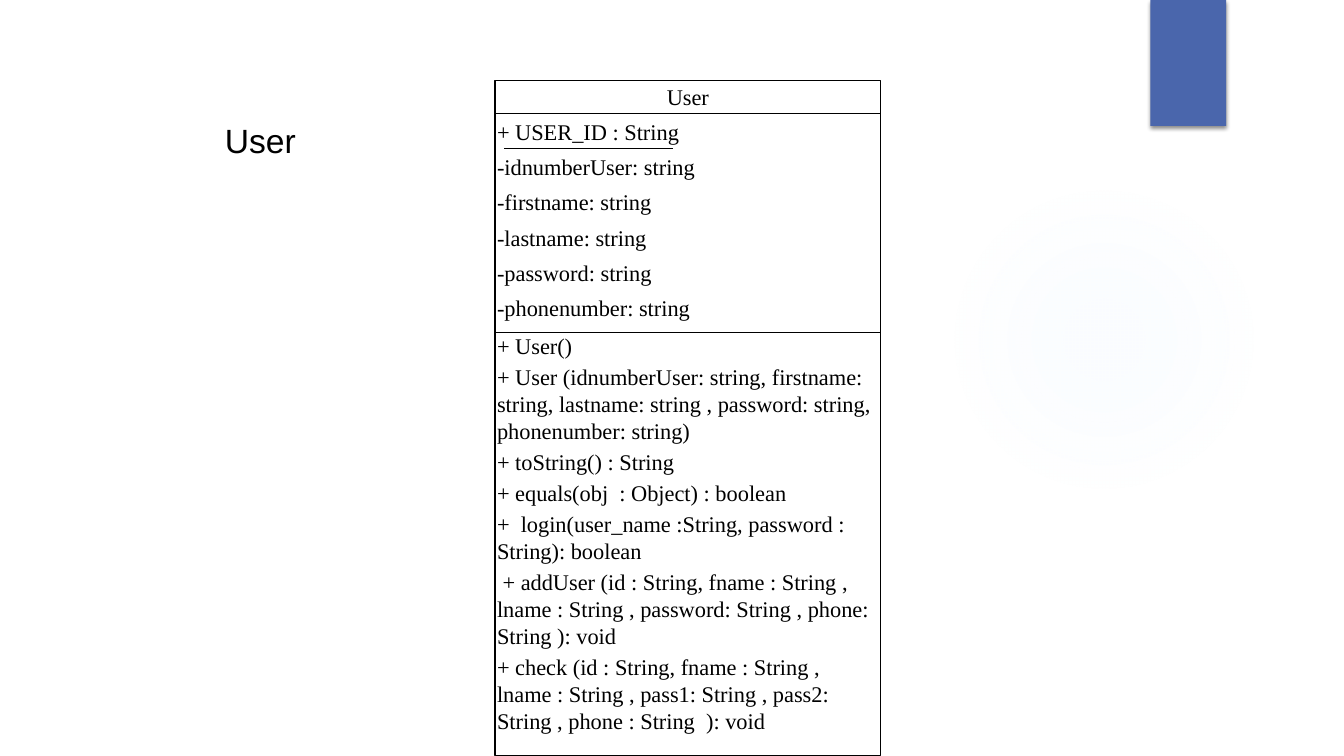
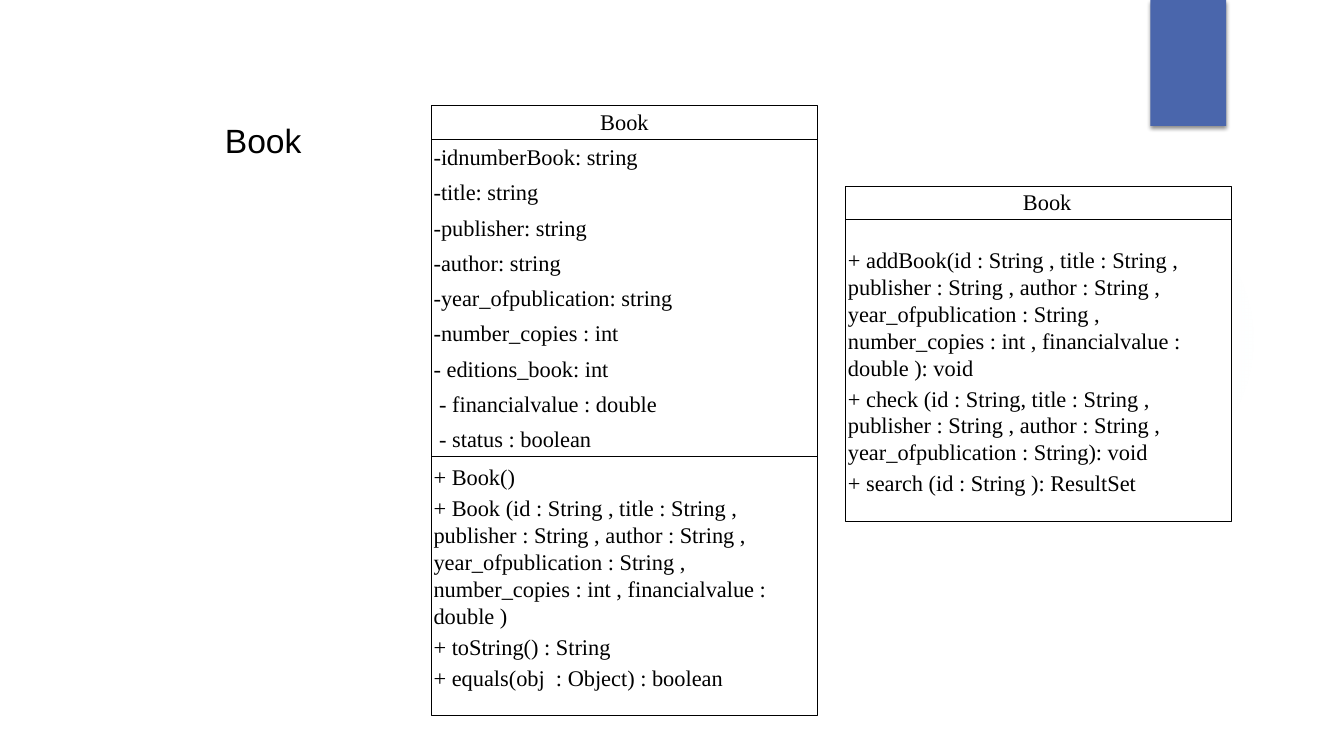
"""Build two slides of UML class boxes for a library system."""
import dataclasses
import typing

import pptx
import pptx.dml.color
import pptx.enum.shapes
import pptx.enum.text
import pptx.oxml
import pptx.oxml.ns
import pptx.util

SHAPE = pptx.enum.shapes.MSO_SHAPE
ALIGN = pptx.enum.text.PP_ALIGN
qn = pptx.oxml.ns.qn
Pt = pptx.util.Pt
WIDTH, HEIGHT = pptx.util.Inches(13.33), pptx.util.Inches(7.5)


@dataclasses.dataclass(frozen=True)
class Theme:
    """Colours, fonts and type sizes of the deck."""
    ink: str = "000000"
    paper: str = "FFFFFF"
    band: str = "4A66AC"
    glow: str = "CDE0FB"
    title_font: str = "Arial"
    body_font: str = "Times New Roman"
    title_size: float = 24
    body_size: float = 16
    rule: float = 0.75


class Area(typing.NamedTuple):
    """A rectangle in percent of the slide's width and height."""
    left: float
    top: float
    width: float
    height: float

    def emu(self) -> tuple[int, int, int, int]:
        """Return the rectangle in slide units."""
        return x(self.left), y(self.top), x(self.width), y(self.height)


@dataclasses.dataclass(frozen=True)
class ClassBox:
    """A UML class with its attributes and operations."""
    name: str
    left: float
    top: float
    height: float
    attributes: tuple[str, ...]
    operations: tuple[str, ...]
    operations_at: float = 0
    operations_gap: float = 8
    name_indent: float = 0
    static_first: bool = False


@dataclasses.dataclass(frozen=True)
class Page:
    """A titled slide with its class boxes."""
    title: str
    boxes: tuple[ClassBox, ...]


THEME = Theme()
TITLE = Area(15.98, 15.2, 48.54, 12.13)
BAND = Area(85.6, 0, 5.63, 16.67)
GLOW = Area(70.59, 24.4, 23.11, 41.07)
BOX_WIDTH = 28.7
NAME_HEIGHT = 4.4
ATTRIBUTE_GAP, OPERATION_GAP = 6, 3

PAGES = (
    Page("User", (
        ClassBox(
            "User", 36.83, 10.67, 89.33,
            ("+ USER_ID : String", "-idnumberUser: string", "-firstname: string",
             "-lastname: string", "-password: string", "-phonenumber: string"),
            ("+ User()",
             "+ User (idnumberUser: string, firstname: string, lastname: string , "
             "password: string, phonenumber: string)",
             "+ toString() : String",
             "+ equals(obj  : Object) : boolean",
             "+  login(user_name :String, password : String): boolean",
             " + addUser (id : String, fname : String , lname : String , "
             "password: String , phone: String ): void",
             "+ check (id : String, fname : String , lname : String , "
             "pass1: String , pass2: String , phone : String  ): void"),
            operations_at=33.33, static_first=True),
    )),
    Page("Book", (
        ClassBox(
            "Book", 32.11, 14, 80.67,
            ("-idnumberBook: string", "-title: string", "-publisher: string",
             "-author: string", "-year_ofpublication: string",
             "-number_copies : int", "- editions_book: int",
             " - financialvalue : double", " - status : boolean"),
            ("+ Book()",
             "+ Book (id : String , title : String , publisher : String , "
             "author : String , year_ofpublication : String , "
             "number_copies : int , financialvalue : double )",
             "+ toString() : String",
             "+ equals(obj  : Object) : boolean"),
            operations_at=46.4),
        ClassBox(
            "Book", 62.94, 24.67, 44.27, (),
            ("+ addBook(id : String , title : String , publisher : String , "
             "author : String , year_ofpublication : String , "
             "number_copies : int , financialvalue : double ): void",
             "+ check (id : String, title : String , publisher : String , "
             "author : String , year_ofpublication : String): void",
             "+ search (id : String ): ResultSet"),
            operations_gap=22, name_indent=12),
    )),
)


def x(percent: float) -> int:
    """Return a share of the slide's width."""
    return round(WIDTH * percent / 100)


def y(percent: float) -> int:
    """Return a share of the slide's height."""
    return round(HEIGHT * percent / 100)


def rgb(value: str) -> pptx.dml.color.RGBColor:
    """Return a colour from its hex value."""
    return pptx.dml.color.RGBColor.from_string(value)


def xml(text: str) -> typing.Any:
    """Return a drawing element, its namespace declared in the root tag."""
    head, rest = text.split(">", 1)
    return pptx.oxml.parse_xml(f"{head} {pptx.oxml.ns.nsdecls('a')}>{rest}")


def set_font(p: typing.Any, name: str, size: float) -> None:
    """Give a paragraph its font."""
    p.font.name, p.font.size = name, Pt(size)
    p.font.color.rgb = rgb(THEME.ink)


def add_plain(s: typing.Any, kind: typing.Any, area: Area, fill: str) -> typing.Any:
    """Add a filled shape without outline or shadow."""
    sp = s.shapes.add_shape(kind, *area.emu())
    sp.shadow.inherit = False
    sp.fill.solid()
    sp.fill.fore_color.rgb = rgb(fill)
    sp.line.fill.background()
    return sp


def add_line(s: typing.Any, left: float, top: float, width: float) -> None:
    """Add a thin horizontal line."""
    line = s.shapes.add_connector(pptx.enum.shapes.MSO_CONNECTOR.STRAIGHT,
                                  x(left), y(top), x(left + width), y(top))
    line.line.color.rgb = rgb(THEME.ink)
    line.line.width = Pt(THEME.rule)
    line.element.spPr.append(xml("<a:effectLst></a:effectLst>"))


def add_decor(s: typing.Any, layout: typing.Any) -> None:
    """Draw the band and the glow, then hand them to the layout."""
    glow = add_plain(s, SHAPE.OVAL, GLOW, THEME.glow)
    stops = "".join(
        f'<a:gs pos="{pos * 1000}"><a:srgbClr val="{THEME.glow}">'
        f'<a:alpha val="{alpha * 1000}"/></a:srgbClr></a:gs>'
        for pos, alpha in ((0, 7), (36, 6), (69, 0)))
    sp_pr = glow.element.spPr
    sp_pr.replace(sp_pr.find(qn("a:solidFill")), xml(
        f'<a:gradFill><a:gsLst>{stops}</a:gsLst><a:path path="circle">'
        '<a:fillToRect l="50000" t="50000" r="50000" b="50000"/>'
        '</a:path></a:gradFill>'))
    band = add_plain(s, SHAPE.RECTANGLE, BAND, THEME.band)
    band.element.spPr.find(qn("a:effectLst")).append(xml(
        f'<a:outerShdw blurRad="{Pt(3)}" dist="{Pt(2)}" dir="5400000">'
        f'<a:srgbClr val="{THEME.ink}"><a:alpha val="45000"/></a:srgbClr>'
        '</a:outerShdw>'))
    for i, sp in enumerate((glow, band)):
        sp.element.nvSpPr.cNvPr.set("id", str(100 + i))
        layout.shapes.element.insert(2 + i, sp.element)


def add_title(s: typing.Any, text: str) -> None:
    """Place and format the slide's title."""
    sp = s.shapes.title
    sp.left, sp.top, sp.width, sp.height = TITLE.emu()
    tf = sp.text_frame
    tf.text = text
    tf.vertical_anchor = pptx.enum.text.MSO_ANCHOR.TOP
    p = tf.paragraphs[0]
    p.alignment = ALIGN.LEFT
    set_font(p, THEME.title_font, THEME.title_size)


def add_box(s: typing.Any, box: ClassBox) -> None:
    """Draw a class box with its text and dividers."""
    area = Area(box.left, box.top, BOX_WIDTH, box.height)
    sp = add_plain(s, SHAPE.RECTANGLE, area, THEME.paper)
    sp.line.color.rgb = rgb(THEME.ink)
    sp.line.width = Pt(THEME.rule)
    tf = sp.text_frame
    tf.word_wrap = True
    tf.vertical_anchor = pptx.enum.text.MSO_ANCHOR.TOP
    tf.margin_left = tf.margin_right = tf.margin_top = pptx.util.Inches(0.02)
    tf.margin_bottom = 0
    rows = [(box.name, 0)]
    rows += [(text, ATTRIBUTE_GAP) for text in box.attributes]
    rows += [(text, OPERATION_GAP if i else box.operations_gap)
             for i, text in enumerate(box.operations)]
    for i, (text, gap) in enumerate(rows):
        p = tf.add_paragraph() if i else tf.paragraphs[0]
        p.text = text
        p.alignment = ALIGN.LEFT if i else ALIGN.CENTER
        p.space_before = Pt(gap)
        set_font(p, THEME.body_font, THEME.body_size)
    if box.name_indent:
        p_pr = tf.paragraphs[0].font._element.getparent()
        p_pr.set("marL", str(Pt(box.name_indent)))
    add_line(s, box.left, box.top + NAME_HEIGHT, BOX_WIDTH)
    if box.operations_at:
        add_line(s, box.left, box.top + box.operations_at, BOX_WIDTH)
    if box.static_first:
        add_line(s, box.left + 0.68, box.top + 8.93, 12.53)


def main() -> None:
    """Build and save the deck."""
    prs = pptx.Presentation()
    prs.slide_width, prs.slide_height = WIDTH, HEIGHT
    layout = prs.slide_layouts.get_by_name("Title Only")
    for i, page in enumerate(PAGES):
        s = prs.slides.add_slide(layout)
        if i == 0:
            add_decor(s, layout)
        add_title(s, page.title)
        for box in page.boxes:
            add_box(s, box)
    prs.save("out.pptx")


if __name__ == "__main__":
    main()
